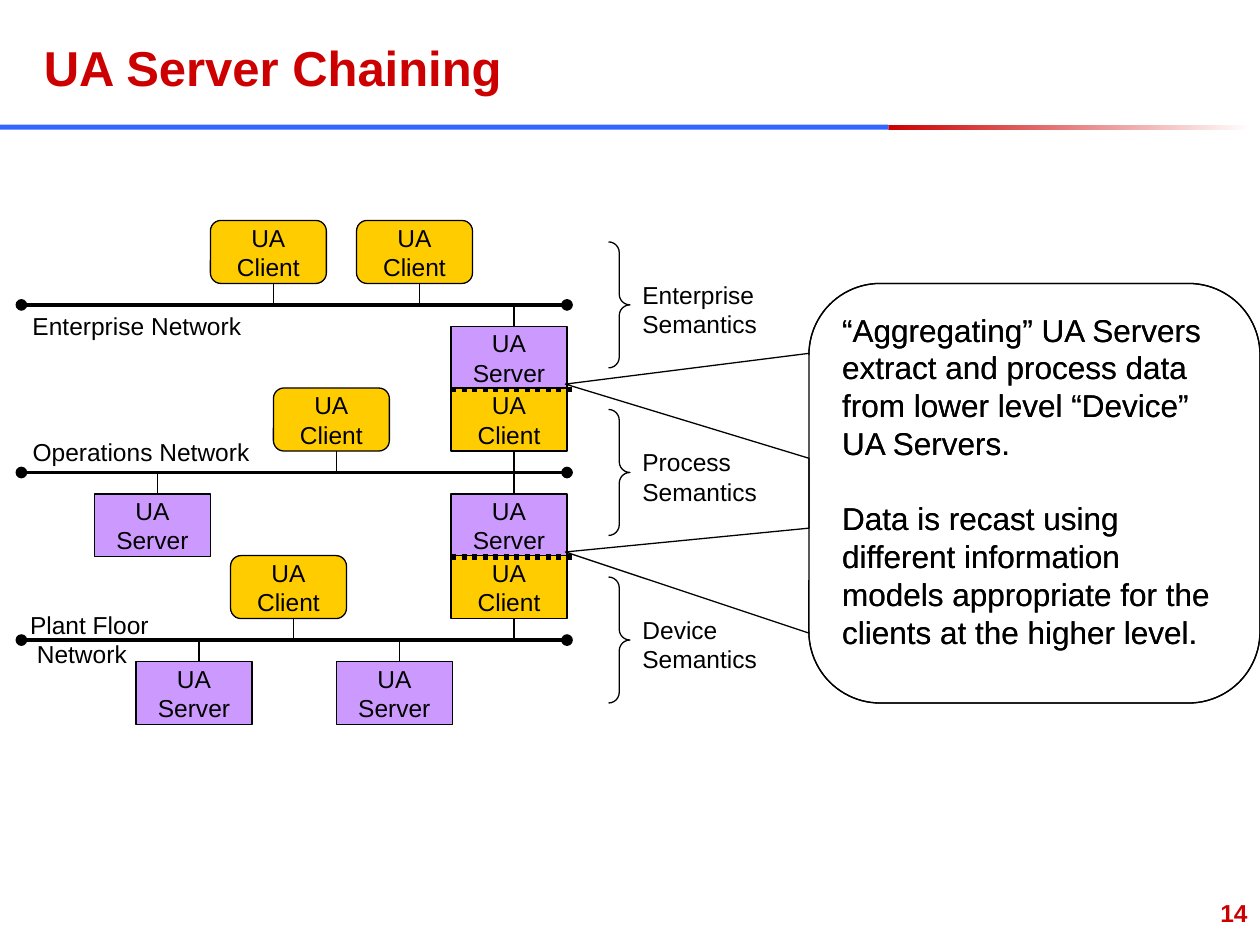
from lxml import etree
from pptx import Presentation
from pptx.dml.color import RGBColor
from pptx.enum.dml import MSO_LINE_DASH_STYLE as DASH
from pptx.enum.shapes import MSO_CONNECTOR, MSO_SHAPE as SHAPE
from pptx.enum.text import MSO_ANCHOR as ANCHOR, PP_ALIGN as ALIGN
from pptx.oxml.ns import qn
from pptx.util import Inches, Pt

rgb = RGBColor.from_string
BLACK, RED, BLUE = "000000", "CC0000", "3366FF"
PURPLE, YELLOW = "CC99FF", "FFCC00"
BODY = {"name": "Arial", "size": Pt(14), "bold": False}
HEADING = {**BODY, "size": Pt(28), "bold": True}
NUMBER = {**BODY, "bold": True}
COMMENT = {**BODY, "size": Pt(18)}

prs = Presentation()
prs.slide_width, prs.slide_height = Inches(10), Inches(7.5)
slide = prs.slides.add_slide(prs.slide_layouts[6])


def add_part(kind, place, text="", fill=None, outline=BLACK, font=BODY,
             color=BLACK, align=ALIGN.LEFT, anchor=ANCHOR.TOP, wrap=False):
    """Add a preset shape, or a text box when kind is None."""
    place = [Inches(v) for v in place]
    if kind is None:
        part = slide.shapes.add_textbox(*place)
    else:
        part = slide.shapes.add_shape(kind, *place)
        part.shadow.inherit = False
        if fill:
            part.fill.solid()
            part.fill.fore_color.rgb = rgb(fill)
        else:
            part.fill.background()
        if outline:
            part.line.color.rgb = rgb(outline)
            part.line.width = Pt(0.75)
        else:
            part.line.fill.background()
    if text:
        frame = part.text_frame
        frame.text = text
        frame.word_wrap = wrap
        frame.vertical_anchor = anchor
        for paragraph in frame.paragraphs:
            paragraph.alignment = align
            for run in paragraph.runs:
                run.font.color.rgb = rgb(color)
                for key, value in font.items():
                    setattr(run.font, key, value)
    return part


def add_line(x1, y1, x2, y2, width=0.75):
    line = slide.shapes.add_connector(
        MSO_CONNECTOR.STRAIGHT, *[Inches(v) for v in (x1, y1, x2, y2)])
    line.line.color.rgb = rgb(BLACK)
    line.line.width = Pt(width)
    etree.SubElement(line.line._get_or_add_ln().getparent(), qn("a:effectLst"))
    return line


# Heading and its rule
fade = add_part(SHAPE.RECTANGLE, (7.05, 0.99, 2.88, 0.04), outline=None)
fade.fill.gradient()
fade.fill.gradient_angle = 0
for stop, color in zip(fade.fill.gradient_stops, (RED, "FFFFFF")):
    stop.color.rgb = rgb(color)
add_part(SHAPE.RECTANGLE, (0, 0.99, 7.05, 0.04), fill=BLUE, outline=None)
add_part(None, (0.25, 0.25, 9, 0.58), "UA Server Chaining",
         font=HEADING, color=RED, wrap=True)

# Nodes hang below or stand above a network, each on a short stem
ENTERPRISE, OPERATIONS, PLANT = 2.42, 3.75, 5.08
NODE_W, NODE_H, STEM, STEM_X = 0.92, 0.5, 0.17, 0.5
GATEWAY_X = 3.58
ROUNDED = SHAPE.FLOWCHART_ALTERNATE_PROCESS
nodes = [
    ("Server", GATEWAY_X, OPERATIONS, SHAPE.RECTANGLE),
    ("Client", GATEWAY_X, PLANT, SHAPE.RECTANGLE),
    ("Server", GATEWAY_X, ENTERPRISE, SHAPE.RECTANGLE),
    ("Client", GATEWAY_X, OPERATIONS, SHAPE.RECTANGLE),
    ("Server", 2.67, PLANT, SHAPE.RECTANGLE),
    ("Server", 1.08, PLANT, SHAPE.RECTANGLE),
    ("Server", 0.75, OPERATIONS, SHAPE.RECTANGLE),
    ("Client", 1.83, PLANT, ROUNDED),
    ("Client", 2.83, ENTERPRISE, ROUNDED),
    ("Client", 1.67, ENTERPRISE, ROUNDED),
    ("Client", 2.17, OPERATIONS, ROUNDED),
]
for role, left, network_y, outline_kind in nodes:
    if role == "Server":
        top, stem_end, fill = network_y + STEM, network_y + STEM, PURPLE
    else:
        top, stem_end, fill = network_y - STEM - NODE_H, network_y - STEM, YELLOW
    add_part(outline_kind, (left, top, NODE_W, NODE_H), f"UA\v{role}", fill,
             align=ALIGN.CENTER, anchor=ANCHOR.MIDDLE)
    add_line(left + STEM_X, network_y, left + STEM_X, stem_end)

# Dotted seam between the server and client halves of each gateway
for network_y in (ENTERPRISE, OPERATIONS):
    seam_y = network_y + STEM + NODE_H
    seam = add_line(GATEWAY_X, seam_y, GATEWAY_X + 1, seam_y, 3)
    seam.line.dash_style = DASH.ROUND_DOT

# Networks with their labels and semantic levels
networks = [
    (ENTERPRISE, "Enterprise Network", (0.16, 2.42, 1.86, 0.34), "Enterprise"),
    (OPERATIONS, "Operations Network", (0.16, 3.42, 1.92, 0.34), "Process"),
    (PLANT, "Plant Floor\v Network", (0.14, 4.79, 1.14, 0.8), "Device"),
]
for network_y, label, label_place, level in networks:
    bus = add_line(4.5, network_y, 0.17, network_y, 2.25)
    for end in ("a:headEnd", "a:tailEnd"):
        etree.SubElement(bus.line._get_or_add_ln(), qn(end), type="oval")
    add_part(None, label_place, label, wrap=network_y == PLANT)
    brace = add_part(SHAPE.RIGHT_BRACE, (4.83, network_y - 0.5, 0.17, 1))
    brace.adjustments[0] = 0.5
    add_part(None, (5, network_y - 0.25, 1.11, 0.57), f"{level}\vSemantics")

# One comment points at both gateways
remark = ("“Aggregating” UA Servers extract and process data from lower level "
          "“Device” UA Servers.\n"
          "Data is recast using different information models appropriate for "
          "the clients at the higher level.")
for pointer in ((-1.04, -0.26), (-1.04, 0.14)):
    callout = add_part(SHAPE.ROUNDED_RECTANGULAR_CALLOUT,
                       (6.42, 2.25, 3.58, 3.33), remark, font=COMMENT, wrap=True)
    for index, value in enumerate((*pointer, 0.17)):
        callout.adjustments[index] = value
    callout.text_frame.paragraphs[0].space_after = Pt(21.5)

add_part(None, (7.92, 7.08, 2.08, 0.42), "14", font=NUMBER, color=RED,
         align=ALIGN.RIGHT, wrap=True)

prs.save("out.pptx")
